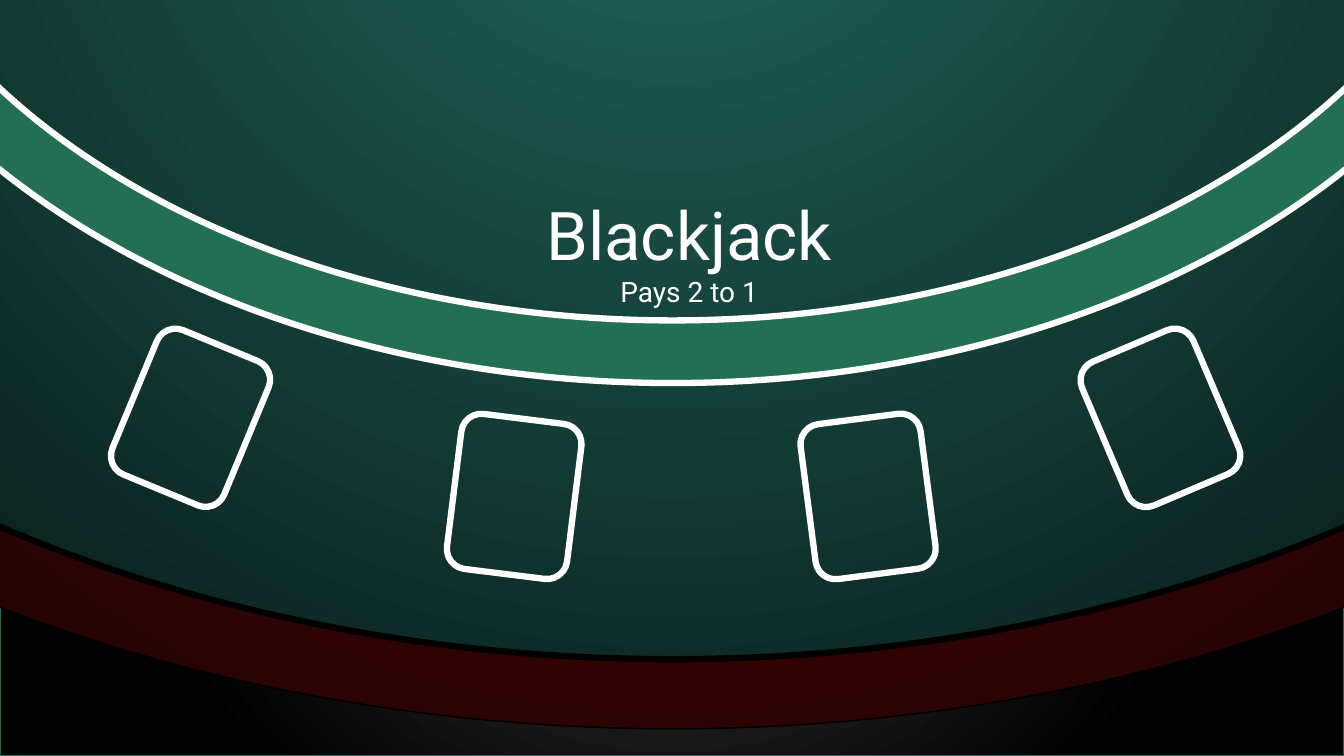
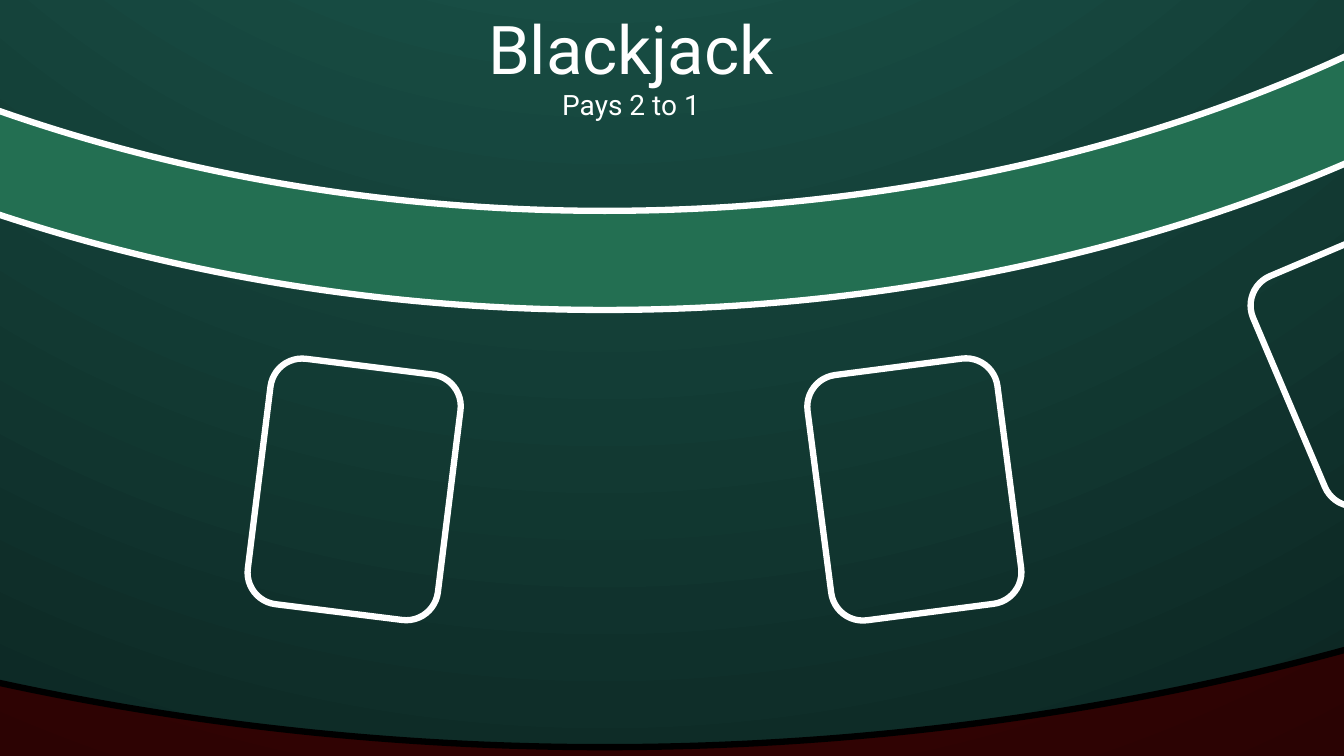
import pptx
import pptx.dml.color
import pptx.enum.shapes
import pptx.enum.text
import pptx.oxml
import pptx.oxml.ns
import pptx.util

Inches = pptx.util.Inches
Pt = pptx.util.Pt
SHAPE = pptx.enum.shapes.MSO_SHAPE

WHITE, BLACK = "FFFFFF", "000000"
FONT = "Roboto"
PAGE_WIDTH, PAGE_HEIGHT = 13.33, 7.5

# Left, top, width, height on the full table view
FLOOR = (0, 0, PAGE_WIDTH, PAGE_HEIGHT)
RAIL = (-7.1, -12.05, 27.54, 19.28)
FELT = (-6.12, -11.37, 25.58, 17.91)
BAND = (-2.2, -8.62, 17.74, 12.42)
TITLE = (4.41, 1.87, 4.85, 1.25)
CARD_WIDTH, CARD_HEIGHT = 1.2, 1.55
CARDS = [(1.29, 3.37, 22.5), (10.91, 3.37, 337), (8.01, 4.15, 352.6), (4.5, 4.15, 7.1)]

# Zoom, horizontal shift, vertical shift, floor in view
VIEWS = [(1, 0, 0, True), (1.58, -4.56, -2.94, False)]
VIEWS[1] = (21.1 / PAGE_WIDTH, -4.56, -2.94, False)

PATH_XML = (
    '<a:path xmlns:a="http://schemas.openxmlformats.org/drawingml/2006/main" path="circle">'
    '<a:fillToRect l="50000" t="50000" r="50000" b="50000"/></a:path>'
)


def rgb(colour):
    return pptx.dml.color.RGBColor.from_string(colour)


def add_outlined(page, kind, frame, fill, line, width):
    """Add a shape; fill is None, a colour, or (centre, edge, edge position)."""
    shape = page.shapes.add_shape(kind, *frame)
    shape.shadow.inherit = False
    shape.line.color.rgb = rgb(line)
    shape.line.width = Pt(width)
    if fill is None:
        shape.fill.background()
    elif isinstance(fill, str):
        shape.fill.solid()
        shape.fill.fore_color.rgb = rgb(fill)
    else:
        centre, edge, position = fill
        shape.fill.gradient()
        first, last = shape.fill.gradient_stops
        first.color.rgb, first.position = rgb(centre), 0
        last.color.rgb, last.position = rgb(edge), position
        linear = shape.element.spPr.find(".//" + pptx.oxml.ns.qn("a:lin"))
        linear.getparent().replace(linear, pptx.oxml.parse_xml(PATH_XML))
    return shape


deck = pptx.Presentation()
deck.slide_width = Inches(PAGE_WIDTH)
deck.slide_height = Inches(PAGE_HEIGHT)

for zoom, shift_x, shift_y, floor_in_view in VIEWS:
    page = deck.slides.add_slide(deck.slide_layouts[5])

    surfaces = [
        (SHAPE.OVAL, RAIL, ("690707", BLACK, 1), BLACK, 1),
        (SHAPE.OVAL, FELT, ("21695D", BLACK, 1), BLACK, 4.5),
        (SHAPE.DONUT, BAND, "236F52", WHITE, 4.5),
    ]
    if floor_in_view:
        surfaces.insert(0, (SHAPE.RECTANGLE, FLOOR, ("404040", BLACK, 0.74), "21695D", 1))
    cards = [
        (SHAPE.ROUNDED_RECTANGLE, (left, top, CARD_WIDTH, CARD_HEIGHT), None, WHITE, 4.5, angle)
        for left, top, angle in CARDS
        if (left + CARD_WIDTH) * zoom + shift_x > 0
    ]
    for kind, (left, top, width, height), fill, line, weight, *angle in surfaces + cards:
        frame = (
            Inches(left * zoom + shift_x),
            Inches(top * zoom + shift_y),
            Inches(width * zoom),
            Inches(height * zoom),
        )
        shape = add_outlined(page, kind, frame, fill, line, weight)
        if kind == SHAPE.DONUT:
            shape.adjustments[0] = 0.05
        if angle:
            shape.rotation = angle[0]

    title = page.shapes.title
    left, top, width, height = TITLE
    title.left, title.top = Inches(left * zoom + shift_x), Inches(top * zoom + shift_y)
    title.width, title.height = Inches(width * zoom), Inches(height * zoom)
    title.element.getparent().append(title.element)  # bring in front of the table
    frame = title.text_frame
    frame.word_wrap = True
    frame.auto_size = pptx.enum.text.MSO_AUTO_SIZE.NONE
    frame.vertical_anchor = pptx.enum.text.MSO_ANCHOR.TOP
    for index, (text, size) in enumerate([("Blackjack", 48), ("Pays 2 to 1", 20)]):
        para = frame.add_paragraph() if index else frame.paragraphs[0]
        para.alignment = pptx.enum.text.PP_ALIGN.CENTER
        span = para.add_run()
        span.text = text
        span.font.name = FONT
        span.font.size = Pt(size)
        span.font.color.rgb = rgb(WHITE)

deck.save("out.pptx")
